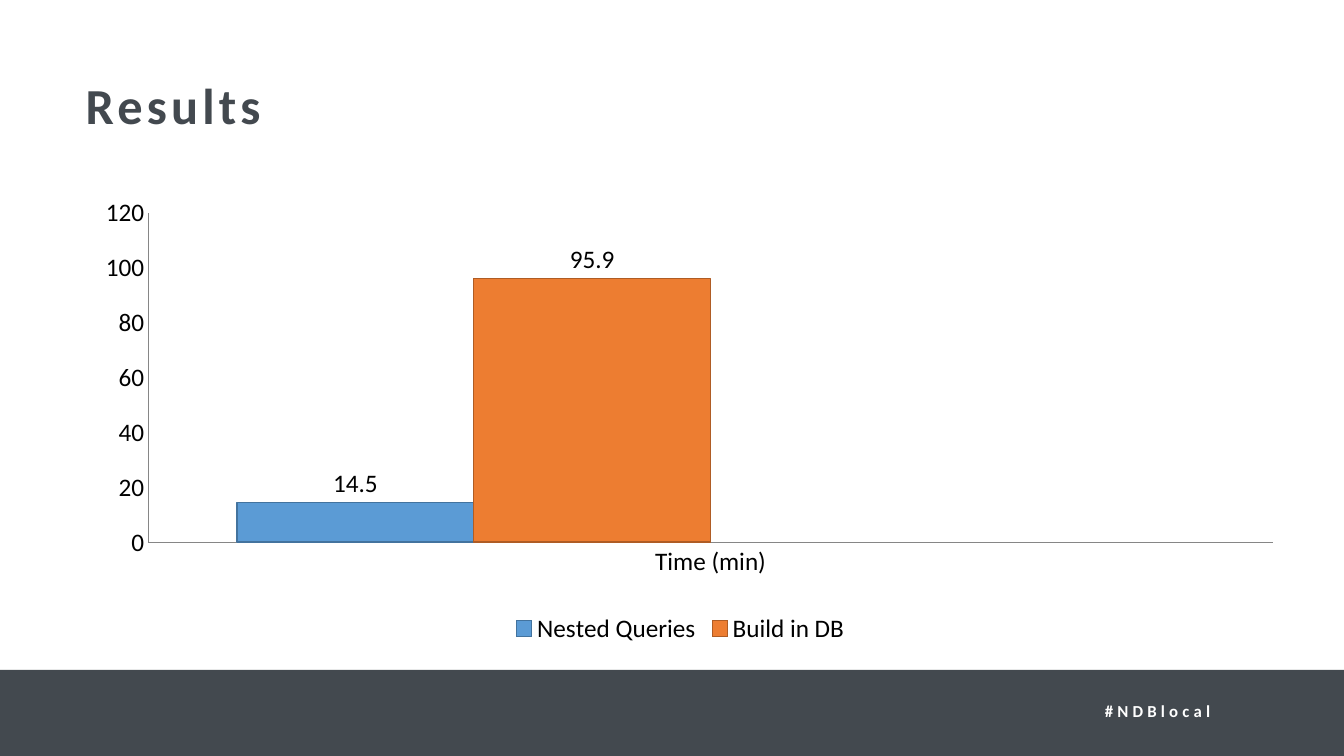
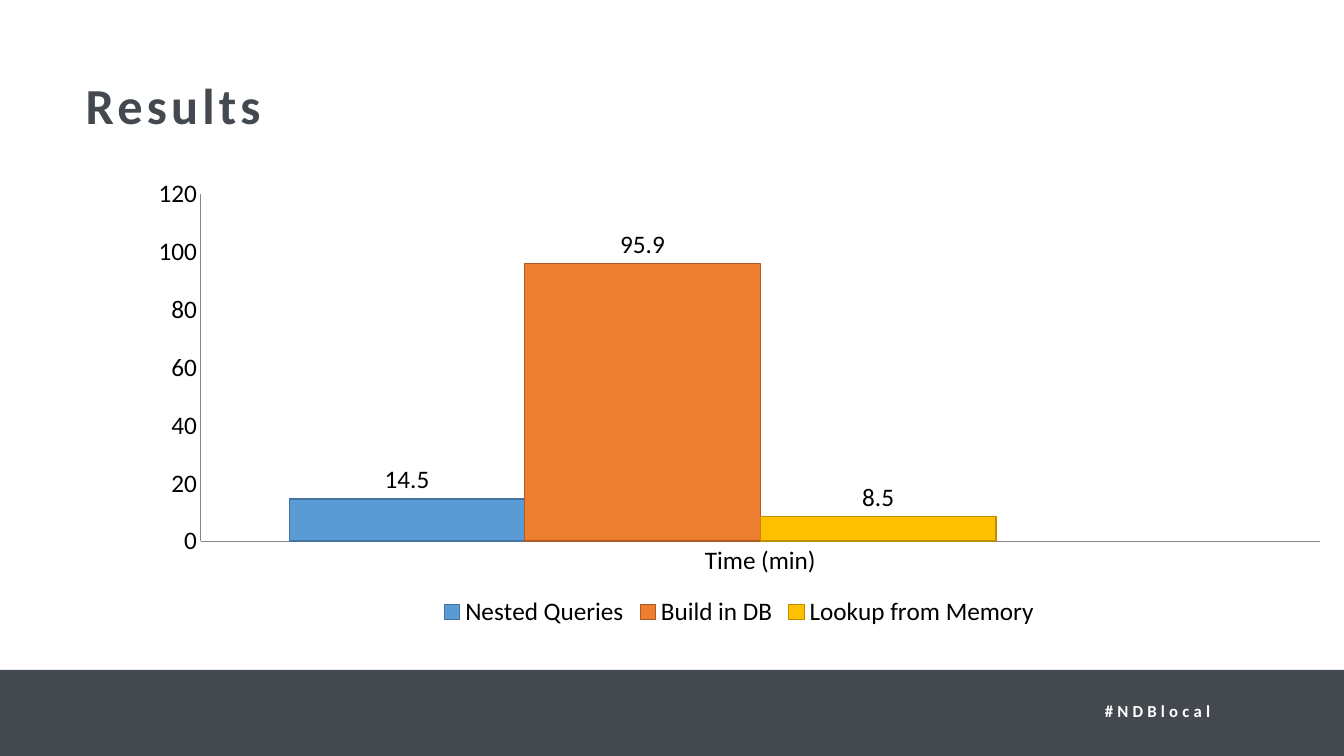
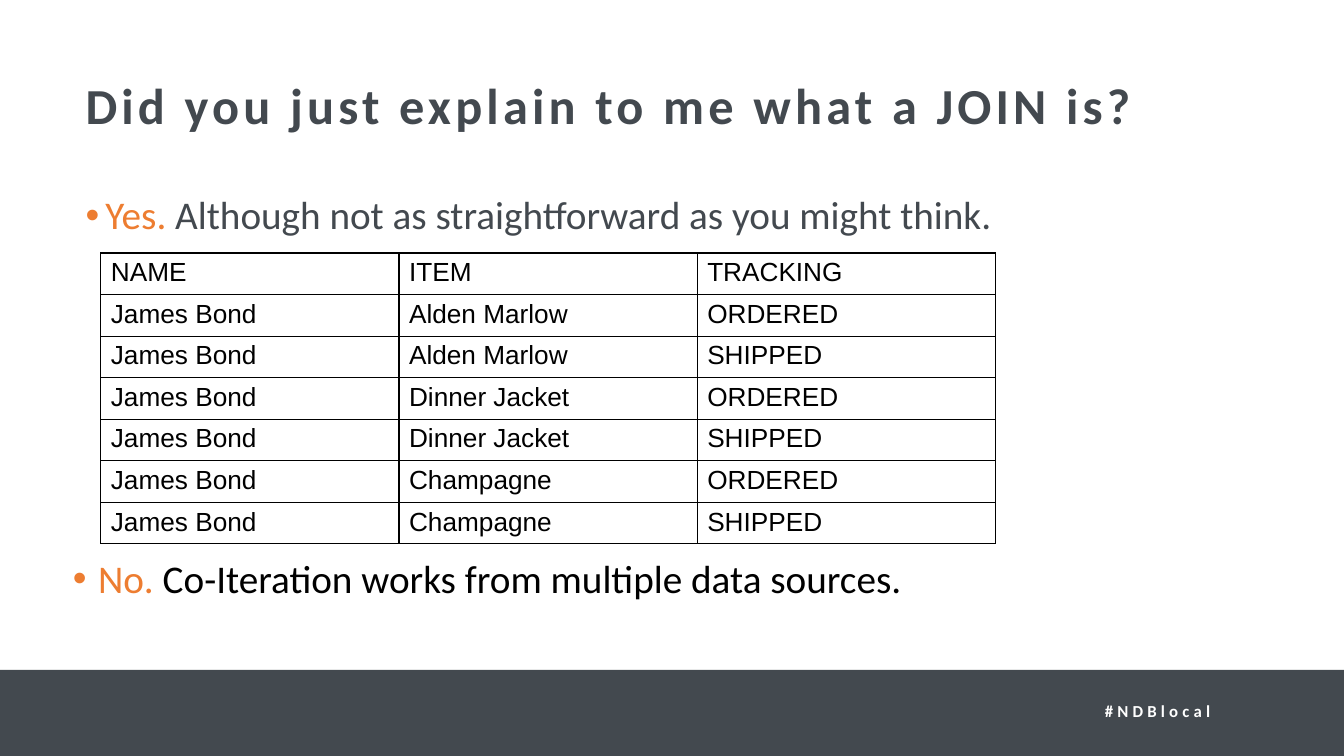
from dataclasses import dataclass

from pptx import Presentation
from pptx.chart.data import CategoryChartData
from pptx.dml.color import RGBColor
from pptx.enum.chart import XL_CHART_TYPE, XL_LABEL_POSITION, XL_LEGEND_POSITION, XL_TICK_MARK
from pptx.enum.shapes import MSO_SHAPE
from pptx.enum.text import PP_ALIGN
from pptx.oxml import parse_xml
from pptx.oxml.ns import nsdecls, qn
from pptx.util import Emu, Pt

COLUMNS = XL_CHART_TYPE.COLUMN_CLUSTERED
LABEL_ABOVE = XL_LABEL_POSITION.OUTSIDE_END
LEGEND_BOTTOM = XL_LEGEND_POSITION.BOTTOM
NO_TICK = XL_TICK_MARK.NONE
RECTANGLE = MSO_SHAPE.RECTANGLE
CENTER = PP_ALIGN.CENTER

EMU_PER_PX = 9525
SLIDE_WIDTH, SLIDE_HEIGHT = 1280, 720


@dataclass(frozen=True)
class Theme:
    """Colours, fonts and type sizes of the deck."""
    slate: str = "43494F"
    white: str = "FFFFFF"
    black: str = "000000"
    axis: str = "868686"
    blue: str = "5B9BD5"
    blue_edge: str = "43739E"
    orange: str = "ED7D31"
    orange_edge: str = "AF5C24"
    gray: str = "A5A5A5"
    gold: str = "FFC000"
    gold_edge: str = "BD8E00"
    font: str = "Calibri"
    table_font: str = "Arial"
    title_size: float = 36
    body_size: float = 28
    table_size: float = 18.7
    chart_size: float = 18
    footer_size: float = 12
    tracking: int = 300


THEME = Theme()

NESTED = ("Nested Queries", 14.5, THEME.blue, THEME.blue_edge)
BUILD = ("Build in DB", 95.9, THEME.orange, THEME.orange_edge)
LOOKUP = ("Lookup from Memory", 8.5, THEME.gold, THEME.gold_edge)
EMPTY_THIRD = ("Series 3", None, THEME.gray, None)
EMPTY_FOURTH = ("Series 4", None, THEME.gold, None)

HEADINGS = ("NAME", "ITEM", "TRACKING")
ITEMS = ("Alden Marlow", "Dinner Jacket", "Champagne")
STATES = ("ORDERED", "SHIPPED")


def px(*lengths):
    """Turn pixel lengths into EMU."""
    return [Emu(length * EMU_PER_PX) for length in lengths]


def rgb(color):
    """Turn a hex string into a colour."""
    return RGBColor.from_string(color)


def style_font(font, size, color, name=THEME.font, bold=False):
    """Set the face, size, colour and weight of a font."""
    font.name, font.size, font.bold = name, Pt(size), bold
    font.color.rgb = rgb(color)


def add_text_frame(slide, box):
    """Add a wrapping text box and return its frame."""
    frame = slide.shapes.add_textbox(*px(*box)).text_frame
    frame.word_wrap = True
    return frame


def add_tracked_line(frame, text, size, color):
    """Write one bold, letter-spaced line and return its paragraph."""
    line = frame.paragraphs[0]
    run = line.add_run()
    run.text = text
    run._r.get_or_add_rPr().set("spc", str(THEME.tracking))
    style_font(line.font, size, color, bold=True)
    return line


def add_footer(slide):
    """Add the bottom band and its hashtag."""
    band = slide.shapes.add_shape(RECTANGLE, *px(0, 638, SLIDE_WIDTH, 82))
    band.shadow.inherit = False
    band.fill.solid()
    band.fill.fore_color.rgb = rgb(THEME.slate)
    band.line.fill.background()
    frame = add_text_frame(slide, (1020, 667, 165, 24))
    frame.margin_left = frame.margin_top = frame.margin_right = 0
    hashtag = add_tracked_line(frame, "#NDBlocal", THEME.footer_size, THEME.white)
    hashtag.alignment = CENTER


def add_titled_slide(deck, title):
    """Add a blank slide with the shared footer and title."""
    slide = deck.slides.add_slide(deck.slide_layouts[6])
    add_footer(slide)
    frame = add_text_frame(slide, (72, 66, 1141, 80))
    add_tracked_line(frame, title, THEME.title_size, THEME.slate)
    return slide


def add_bullet(slide, box, indent, answer, reason, color):
    """Add a bulleted line led by an orange answer."""
    point = add_text_frame(slide, box).paragraphs[0]
    properties = point._p.get_or_add_pPr()
    margin = px(indent)[0]
    properties.set("marL", str(margin))
    properties.set("indent", str(-margin))
    for xml in (
        f'<a:buClr {nsdecls("a")}><a:srgbClr val="{THEME.orange}"/></a:buClr>',
        f'<a:buFont {nsdecls("a")} typeface="Arial"/>',
        f'<a:buChar {nsdecls("a")} char="•"/>',
    ):
        properties.append(parse_xml(xml))
    point.line_spacing = 0.9
    point.font.name, point.font.size = THEME.font, Pt(THEME.body_size)
    for text, run_color in ((answer, THEME.orange), (reason, color)):
        run = point.add_run()
        run.text = text
        run.font.color.rgb = rgb(run_color)


def place_plot(chart, x, y, w, h):
    """Fix the inner plot area as fractions of the chart."""
    area = chart._chartSpace.chart.plotArea
    for layout in area.findall(qn("c:layout")):
        area.remove(layout)
    fractions = "".join(
        f'<c:{key} val="{value}"/>' for key, value in zip("xywh", (x, y, w, h)))
    area.insert(0, parse_xml(
        f'<c:layout {nsdecls("c")}><c:manualLayout><c:layoutTarget val="inner"/>'
        '<c:xMode val="edge"/><c:yMode val="edge"/>'
        f'{fractions}</c:manualLayout></c:layout>'))


def add_legend(chart, bars):
    """Add a bottom legend that skips series without a value."""
    chart.has_legend = True
    chart.legend.position = LEGEND_BOTTOM
    chart.legend.include_in_layout = False
    hidden = [index for index, bar in enumerate(bars) if bar[1] is None]
    for place, index in enumerate(hidden, start=1):
        chart.legend._element.insert(place, parse_xml(
            f'<c:legendEntry {nsdecls("c")}><c:idx val="{index}"/>'
            '<c:delete val="1"/></c:legendEntry>'))


def style_axes(chart):
    """Give both axes a thin gray line without ticks or gridlines."""
    for axis in (chart.category_axis, chart.value_axis):
        axis.has_major_gridlines = False
        axis.major_tick_mark = axis.minor_tick_mark = NO_TICK
        axis.format.line.color.rgb = rgb(THEME.axis)
        axis.format.line.width = Pt(0.75)
    chart.value_axis.minimum_scale = 0
    chart.value_axis.maximum_scale = 120
    chart.value_axis.major_unit = 20


def style_series(series, color, edge):
    """Colour a series and label its values."""
    series.format.fill.solid()
    series.format.fill.fore_color.rgb = rgb(color)
    if edge:
        series.format.line.color.rgb = rgb(edge)
        series.format.line.width = Pt(1)
    labels = series.data_labels
    labels.show_value = True
    labels.position = LABEL_ABOVE


def add_timing_chart(slide, box, bars, plot_box):
    """Add the column chart of running times."""
    timings = CategoryChartData()
    timings.categories = ["Time (min)"]
    for name, minutes, _, _ in bars:
        timings.add_series(name, [minutes])
    chart = slide.shapes.add_chart(COLUMNS, *px(*box), timings).chart
    chart.has_title = False
    style_font(chart.font, THEME.chart_size, THEME.black)
    plot = chart.plots[0]
    plot.gap_width, plot.overlap, plot.vary_by_categories = 75, 0, False
    for series, (_, _, color, edge) in zip(plot.series, bars):
        style_series(series, color, edge)
    style_axes(chart)
    add_legend(chart, bars)
    place_plot(chart, *plot_box)


def outline_cell(cell):
    """Draw a thin black border on each side of a cell."""
    properties = cell._tc.get_or_add_tcPr()
    for side in ("lnL", "lnR", "lnT", "lnB"):
        properties.append(parse_xml(
            f'<a:{side} {nsdecls("a")} w="{Pt(1)}"><a:solidFill>'
            f'<a:srgbClr val="{THEME.black}"/></a:solidFill></a:{side}>'))


def add_grid_table(slide, left, top, column_width, row_height, rows):
    """Add a plain bordered table with equal columns and rows."""
    row_count, column_count = len(rows), len(rows[0])
    table = slide.shapes.add_table(row_count, column_count, *px(
        left, top, column_width * column_count, row_height * row_count)).table
    table.first_row = table.horz_banding = False
    for r, row in enumerate(rows):
        for c, text in enumerate(row):
            cell = table.cell(r, c)
            cell.text = text
            style_font(cell.text_frame.paragraphs[0].font,
                       THEME.table_size, THEME.black, THEME.table_font)
            outline_cell(cell)
            cell.fill.background()


def main():
    """Build and save the deck."""
    deck = Presentation()
    deck.slide_width, deck.slide_height = px(SLIDE_WIDTH, SLIDE_HEIGHT)

    two_results = add_titled_slide(deck, "Results")
    add_timing_chart(two_results, (72, 176, 1152, 442),
                     (NESTED, BUILD, EMPTY_THIRD, EMPTY_FOURTH),
                     (0.06, 0.06, 0.93, 0.71))

    three_results = add_titled_slide(deck, "Results")
    add_timing_chart(three_results, (128, 160, 1152, 442),
                     (NESTED, BUILD, LOOKUP, EMPTY_FOURTH),
                     (0.055, 0.056, 0.925, 0.748))

    join = add_titled_slide(deck, "Did you just explain to me what a JOIN is?")
    add_bullet(join, (72, 182, 1141, 56), 19, "Yes.",
               " Although not as straightforward as you might think.", THEME.slate)
    add_bullet(join, (60, 528, 1152, 57), 24, "No.",
               " Co-Iteration works from multiple data sources.", THEME.black)
    orders = [("James Bond", item, state) for item in ITEMS for state in STATES]
    add_grid_table(join, 96, 241, 284, 39, [HEADINGS, *orders])

    deck.save("out.pptx")


if __name__ == "__main__":
    main()
